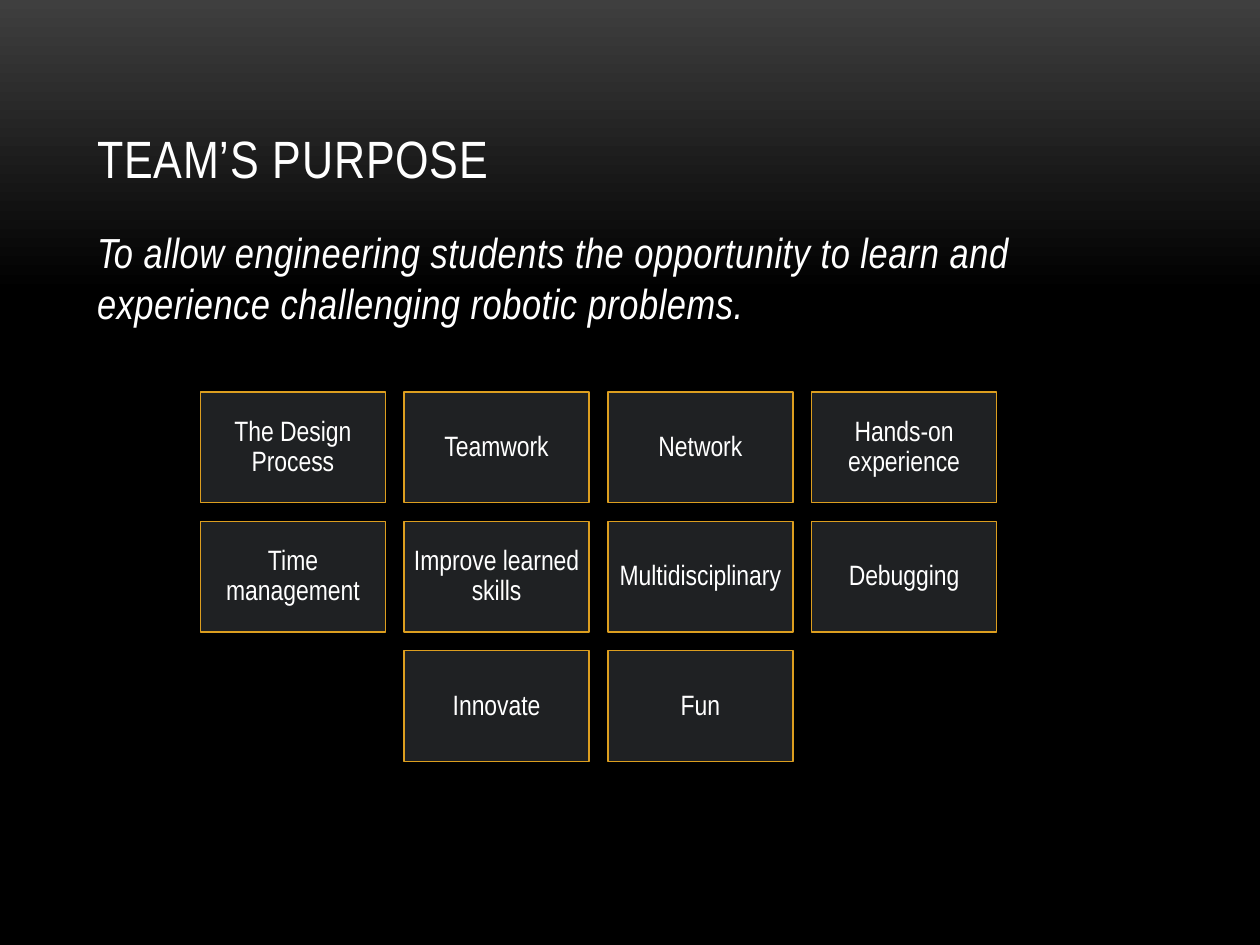
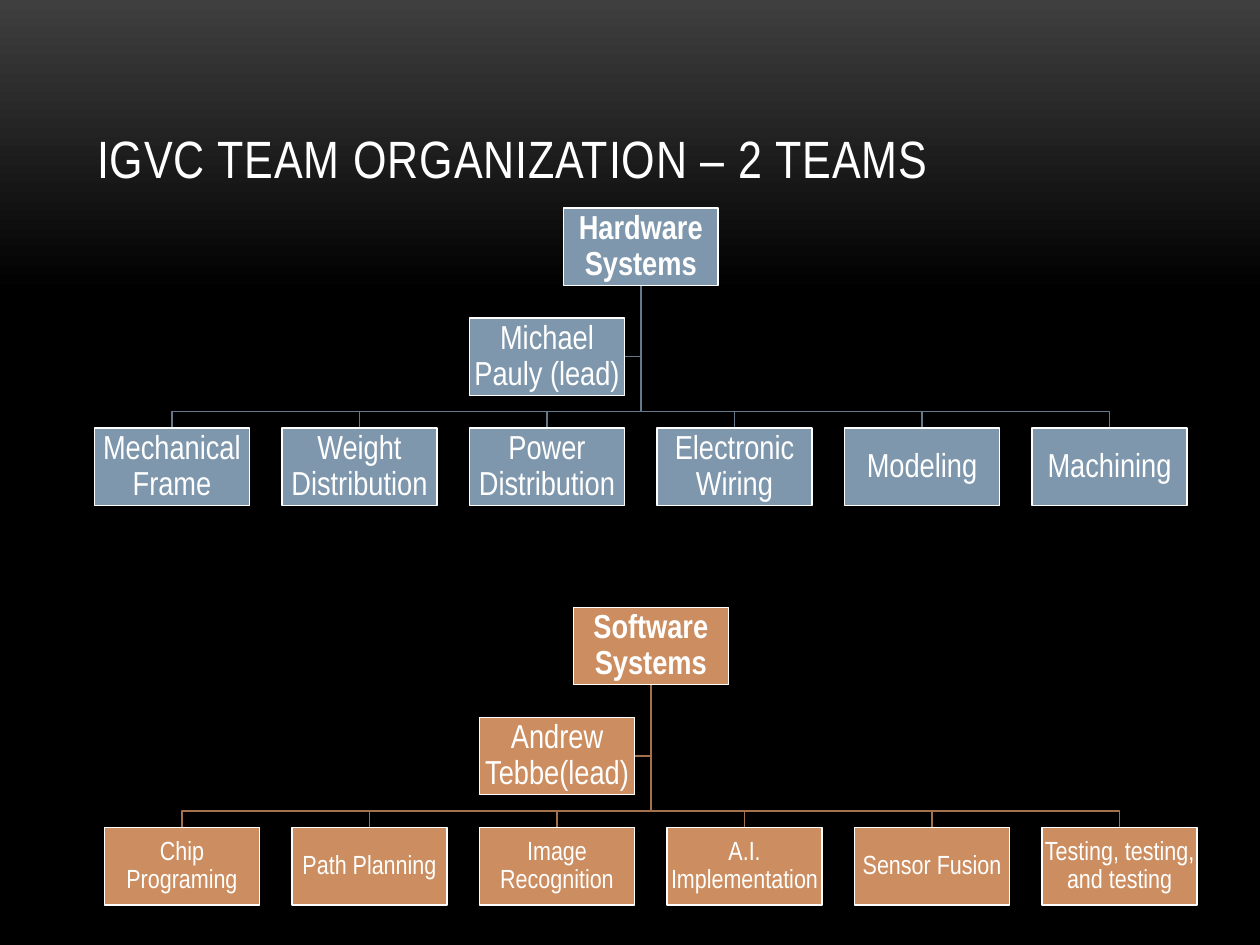
"""Build two slides on a robotics team's purpose and organization."""
from copy import deepcopy

from pptx import Presentation
from pptx.dml.color import RGBColor
from pptx.enum.shapes import MSO_SHAPE
from pptx.enum.text import MSO_ANCHOR, MSO_AUTO_SIZE, PP_ALIGN
from pptx.util import Inches, Pt

RECTANGLE = MSO_SHAPE.RECTANGLE
LEFT, CENTER = PP_ALIGN.LEFT, PP_ALIGN.CENTER
TOP, MIDDLE, BOTTOM = MSO_ANCHOR.TOP, MSO_ANCHOR.MIDDLE, MSO_ANCHOR.BOTTOM
NO_AUTOFIT = MSO_AUTO_SIZE.NONE
TITLE_AND_CONTENT, TITLE_ONLY = 1, 5

BENEFITS = [
    ["The Design Process", "Teamwork", "Network", "Hands-on experience"],
    ["Time management", "Improve learned skills", "Multidisciplinary", "Debugging"],
    ["Innovate", "Fun"],
]
HARDWARE_TASKS = ["Mechanical Frame", "Weight Distribution", "Power Distribution",
                  "Electronic Wiring", "Modeling", "Machining"]
SOFTWARE_TASKS = ["Chip Programing", "Path Planning", "Image Recognition",
                  "A.I. Implementation", "Sensor Fusion", "Testing, testing, and testing"]


def rgb(value):
    return RGBColor.from_string(value)


class Deck:
    """Holds the shared style and the current slide."""

    font = "Arial Narrow"
    white = "FFFFFF"
    tile_fill, tile_line = "1F2123", "DC9E1F"
    line_width = Pt(0.85)

    def __init__(self):
        self.prs = Presentation()
        self.prs.slide_width, self.prs.slide_height = Inches(10), Inches(7.5)
        self.s = None
        self.set_background()

    def set_background(self):
        fill = self.prs.slide_master.background.fill
        fill.gradient()
        fill.gradient_angle = 270
        last = fill.gradient_stops[1]._gs
        last.addnext(deepcopy(last))
        stops = [(0, "3F3F3F"), (0.31, "000000"), (1, "000000")]
        for stop, (position, color) in zip(fill.gradient_stops, stops):
            stop.position = position
            stop.color.rgb = rgb(color)

    def format_run(self, r, size, bold=False, italic=False, spacing=None):
        r.font.name, r.font.size = self.font, Pt(size)
        r.font.bold, r.font.italic = bold, italic
        r.font.color.rgb = rgb(self.white)
        if spacing:
            r._r.get_or_add_rPr().set("spc", str(spacing))

    def fill_placeholder(self, sp, text, top, height, anchor, size, spacing, italic=False):
        sp.left, sp.top = Inches(0.67), Inches(top)
        sp.width, sp.height = Inches(8.67), Inches(height)
        tf = sp.text_frame
        tf.text = text
        tf.auto_size, tf.vertical_anchor = NO_AUTOFIT, anchor
        p = tf.paragraphs[0]
        p.alignment, p.space_before = LEFT, Pt(0)
        self.format_run(p.runs[0], size, italic=italic, spacing=spacing)
        return p

    def add_slide(self, layout, title):
        self.s = self.prs.slides.add_slide(self.prs.slide_layouts[layout])
        self.fill_placeholder(self.s.shapes.title, title, 0.3, 1.25, BOTTOM, 30, 50)

    def body(self, text):
        p = self.fill_placeholder(self.s.placeholders[1], text, 1.75, 4.5, TOP, 24, 30,
                                  italic=True)
        pPr = p._p.get_or_add_pPr()
        pPr.set("marL", "0")
        pPr.set("indent", "0")
        pPr.insert_element_before(
            pPr.makeelement(pPr.tag.replace("pPr", "buNone"), {}),
            "a:tabLst", "a:defRPr", "a:extLst")

    def box(self, text, x, y, w, h, fill, line, size, inset, bold=False):
        sp = self.s.shapes.add_shape(RECTANGLE, Inches(x), Inches(y), Inches(w), Inches(h))
        sp.shadow.inherit = False
        sp.fill.solid()
        sp.fill.fore_color.rgb = rgb(fill)
        sp.line.color.rgb = rgb(line)
        sp.line.width = self.line_width
        tf = sp.text_frame
        tf.text = text
        tf.word_wrap, tf.vertical_anchor = True, MIDDLE
        tf.margin_left = tf.margin_right = tf.margin_top = tf.margin_bottom = Inches(inset)
        p = tf.paragraphs[0]
        p.alignment, p.line_spacing = CENTER, 0.9
        self.format_run(p.runs[0], size, bold)

    def elbow(self, points, color):
        start, *rest = [(Inches(x), Inches(y)) for x, y in points]
        builder = self.s.shapes.build_freeform(*start)
        builder.add_line_segments(rest, close=False)
        sp = builder.convert_to_shape()
        sp.shadow.inherit = False
        sp.fill.background()
        sp.line.color.rgb = rgb(color)
        sp.line.width = self.line_width

    def tile_grid(self, rows, left, top, w, h):
        gap = w / 10
        columns = max(len(row) for row in rows)
        for i, row in enumerate(rows):
            indent = (columns - len(row)) / 2
            for j, text in enumerate(row):
                self.box(text, left + (indent + j) * (w + gap), top + i * (h + gap), w, h,
                         self.tile_fill, self.tile_line, 16, 0.07)

    def org_chart(self, head, lead, tasks, left, top, fill, line, task_size):
        w = 1.23
        h, gap = w / 2, w * 0.21
        lead_top, task_top = top + h + gap, top + 2 * (h + gap)
        task_lefts = [left + i * (w + gap) for i in range(len(tasks))]
        center = (task_lefts[0] + task_lefts[-1] + w) / 2
        lead_right = center - gap / 2
        bus = task_top - gap / 2
        trunk, lead_middle = (center, top + h), lead_top + h / 2
        self.elbow([trunk, (center, lead_middle), (lead_right, lead_middle)], line)
        for x in task_lefts:
            middle = x + w / 2
            self.elbow([trunk, (center, bus), (middle, bus), (middle, task_top)], line)
        boxes = [(head, center - w / 2, top, 19), (lead, lead_right - w, lead_top, 19)]
        boxes += [(task, x, task_top, task_size) for task, x in zip(tasks, task_lefts)]
        for text, x, y, size in boxes:
            self.box(text, x, y, w, h, fill, self.white, size, 0.01, bold=text == head)


def main():
    deck = Deck()
    deck.add_slide(TITLE_AND_CONTENT, "TEAM’S PURPOSE")
    deck.body("To allow engineering students the opportunity to learn and "
              "experience challenging robotic problems.")
    deck.tile_grid(BENEFITS, 1.59, 3.11, 1.47, 0.88)

    deck.add_slide(TITLE_ONLY, "IGVC TEAM ORGANIZATION – 2 TEAMS")
    deck.org_chart("Hardware Systems", "Michael Pauly (lead)", HARDWARE_TASKS,
                   0.75, 1.65, "7E97AD", "65798B", 19)
    deck.org_chart("Software Systems", "Andrew Tebbe(lead)", SOFTWARE_TASKS,
                   0.83, 4.82, "CC8E60", "A3724D", 15)
    deck.prs.save("out.pptx")


if __name__ == "__main__":
    main()
